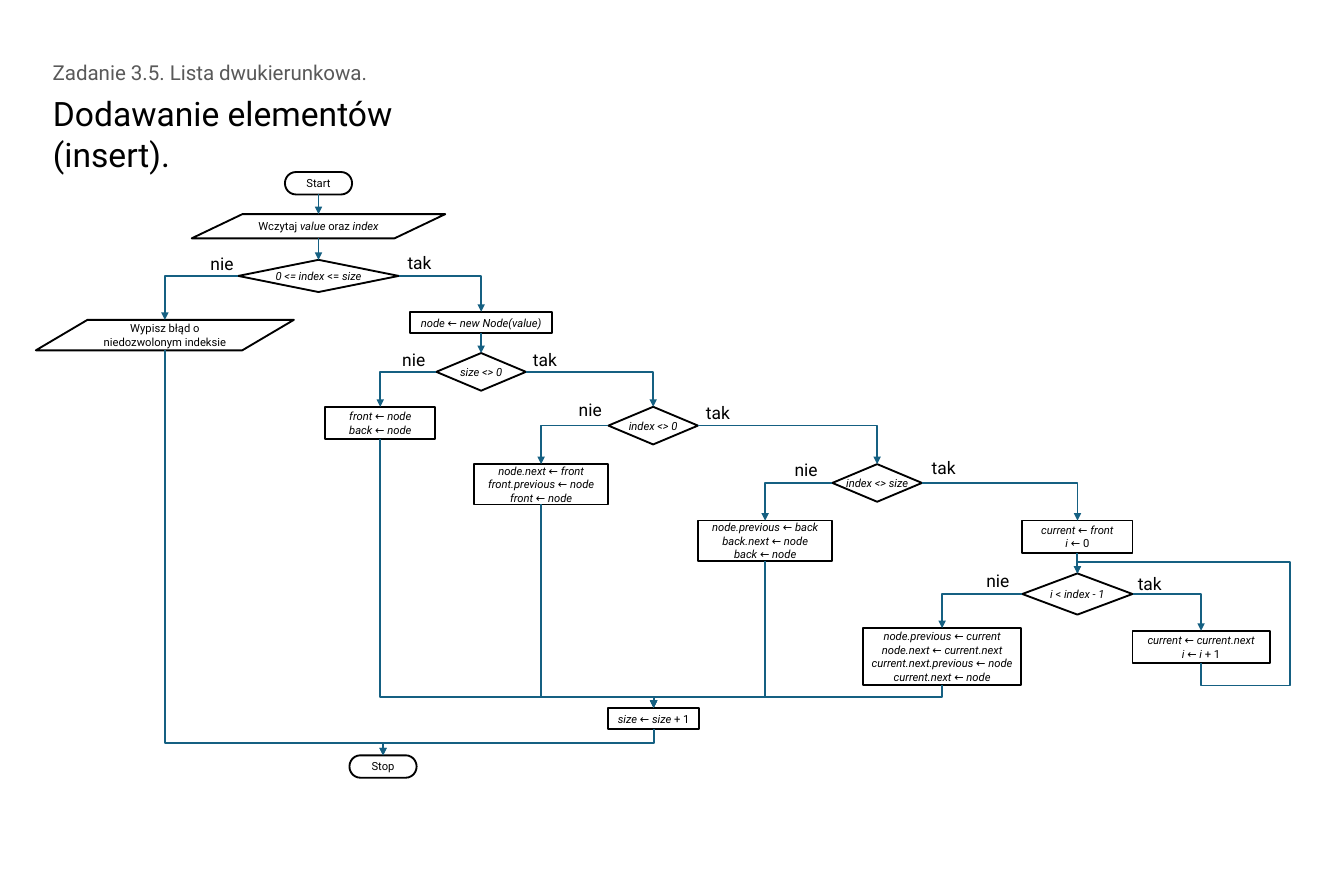
"""Build the flowchart slide for inserting into a doubly linked list."""
from dataclasses import dataclass

from lxml import etree
from pptx import Presentation
from pptx import slide as sl
from pptx import util as u
from pptx.dml.color import RGBColor
from pptx.enum import shapes, text
from pptx.oxml import ns
from pptx.shapes import autoshape, connector as cx
from pptx.text import text as tx

BLACK = RGBColor(0x00, 0x00, 0x00)
WHITE = RGBColor(0xFF, 0xFF, 0xFF)
GREY = RGBColor(0x59, 0x59, 0x59)
TEAL = RGBColor(0x15, 0x60, 0x82)
FONT = "Roboto"

KIND = shapes.MSO_SHAPE
TERMINAL = KIND.FLOWCHART_TERMINATOR
DATA = KIND.FLOWCHART_DATA
PROCESS = KIND.FLOWCHART_PROCESS
DECISION = KIND.FLOWCHART_DECISION
TOP, LEFT, BOTTOM, RIGHT = range(4)
DATA_SITES = {TOP: 1, LEFT: 2, BOTTOM: 4, RIGHT: 5}
JOIN_Y, STOP_Y = 7.78, 8.29


@dataclass(frozen=True)
class Node:
    """A flowchart symbol; asterisks in its lines enclose italics."""
    name: str
    kind: shapes.MSO_SHAPE
    left: float
    top: float
    width: float
    height: float
    lines: tuple[str, ...]


@dataclass(frozen=True)
class Merge:
    """A route that runs down, across at bus_y and down again."""
    source: str
    target: str
    bus_y: float


@dataclass(frozen=True)
class Label:
    """An answer beside a decision."""
    answer: str
    left: float
    top: float


NODES = (
    Node("start", TERMINAL, 3.18, 1.92, 0.75, 0.25, ("Start",)),
    Node("read", DATA, 2.14, 2.39, 2.83, 0.27, ("Wczytaj *value *oraz *index*",)),
    Node("create", PROCESS, 4.58, 3.48, 1.58, 0.24, ("*node* ← *new Node(value)*",)),
    Node("in range", DECISION, 2.66, 2.9, 1.79, 0.36, ("*0 <= index* <= *size*",)),
    Node("error", DATA, 0.4, 3.57, 2.88, 0.34, ("Wypisz błąd o niedozwolonym indeksie",)),
    Node("stop", TERMINAL, 3.9, 8.43, 0.75, 0.25, ("Stop",)),
    Node("has items", DECISION, 4.87, 3.94, 1, 0.42, ("*size <> 0*",)),
    Node("first", PROCESS, 3.63, 4.54, 1.23, 0.36, ("*front* ← *node*", "*back *← *node*")),
    Node("not front", DECISION, 6.79, 4.54, 1, 0.42, ("*index <> 0*",)),
    Node("at front", PROCESS, 5.29, 5.18, 1.5, 0.45,
         ("*node.next* ← *front*", "*front.previous *← *node*", "*front* ← *node*")),
    Node("not back", DECISION, 9.29, 5.18, 1, 0.42, ("*index <> size*",)),
    Node("at back", PROCESS, 7.79, 5.81, 1.5, 0.45,
         ("*node.previous* ← *back*", "*back.next *← *node*", "*back* ← *node*")),
    Node("begin loop", PROCESS, 11.41, 5.81, 1.23, 0.36, ("*current* ← *front*", "*i *← 0")),
    Node("loop", DECISION, 11.41, 6.4, 1.23, 0.46, ("*i* < *index - 1*",)),
    Node("step", PROCESS, 12.64, 7.04, 1.53, 0.36,
         ("*current* ← *current.next*", "*i *← *i* + 1")),
    Node("link", PROCESS, 9.63, 7.01, 1.77, 0.64,
         ("*node.previous* ← *current*", "*node.next* ← *current.next*",
          "*current.next.previous *← *node*", "*current.next *← *node*")),
    Node("grow", PROCESS, 6.79, 7.9, 1.01, 0.24, ("*size* ← *size* + 1",)),
)
STEPS = (("start", "read"), ("read", "in range"), ("create", "has items"), ("begin loop", "loop"))
BRANCHES = (
    ("in range", "error", "create"),
    ("has items", "first", "not front"),
    ("not front", "at front", "not back"),
    ("not back", "at back", "begin loop"),
    ("loop", "link", "step"),
)
MERGES = (
    Merge("first", "grow", JOIN_Y),
    Merge("at front", "grow", JOIN_Y),
    Merge("at back", "grow", JOIN_Y),
    Merge("link", "grow", JOIN_Y),
    Merge("error", "stop", STOP_Y),
    Merge("grow", "stop", STOP_Y),
)
LABELS = (
    Label("nie", 2.25, 2.78), Label("tak", 4.45, 2.77),
    Label("nie", 4.39, 3.85), Label("tak", 5.85, 3.85),
    Label("nie", 6.36, 4.4), Label("tak", 7.78, 4.44),
    Label("nie", 8.77, 5.07), Label("tak", 10.3, 5.05),
    Label("nie", 10.91, 6.31), Label("tak", 12.6, 6.35),
)


def style(span: tx._Run, size: float, color: RGBColor = BLACK, italic: bool = False) -> None:
    """Format one run."""
    span.font.name, span.font.size, span.font.italic = FONT, u.Pt(size), italic
    span.font.color.rgb = color


def add_text(page: sl.Slide, words: str, left: float, top: float, width: float,
             height: float, size: float, color: RGBColor = BLACK) -> None:
    """Add a plain line of text."""
    box = page.shapes.add_textbox(*map(u.Inches, (left, top, width, height)))
    box.text_frame.word_wrap = True
    box.text_frame.text = words
    style(box.text_frame.paragraphs[0].runs[0], size, color)


def set_title(page: sl.Slide, words: str) -> None:
    """Place and format the title."""
    title = page.shapes.title
    title.left, title.top, title.width, title.height = map(u.Inches, (0.49, 0.99, 5.3, 0.56))
    frame = title.text_frame
    frame.text = words
    frame.word_wrap, frame.auto_size = True, text.MSO_AUTO_SIZE.NONE
    frame.vertical_anchor, frame.margin_right = text.MSO_ANCHOR.TOP, u.Inches(0.6)
    frame.paragraphs[0].alignment = text.PP_ALIGN.LEFT
    style(frame.paragraphs[0].runs[0], 27)


def add_node(page: sl.Slide, node: Node) -> autoshape.Shape:
    """Draw a flowchart symbol with its lines of text."""
    box = page.shapes.add_shape(
        node.kind, *map(u.Inches, (node.left, node.top, node.width, node.height)))
    box.shadow.inherit = False
    box.fill.solid()
    box.fill.fore_color.rgb = WHITE
    box.line.color.rgb, box.line.width = BLACK, u.Pt(1.5)
    frame = box.text_frame
    frame.word_wrap = node.kind != DECISION
    frame.vertical_anchor = text.MSO_ANCHOR.MIDDLE
    frame.margin_left = frame.margin_right = u.Inches(0.05)
    for index, line in enumerate(node.lines):
        para = frame.add_paragraph() if index else frame.paragraphs[0]
        para.alignment = text.PP_ALIGN.CENTER
        for part, words in enumerate(line.split("*")):
            if words:
                span = para.add_run()
                span.text = words
                style(span, 9, italic=part % 2 == 1)
    return box


def join(page: sl.Slide, source: autoshape.Shape, side: int, target: autoshape.Shape,
         preset: str) -> cx.Connector:
    """Glue an arrow from a side of the source to the top of the target."""
    arrow = page.shapes.add_connector(shapes.MSO_CONNECTOR.ELBOW, 0, 0, 0, 0)
    arrow.begin_connect(source, side)
    arrow.end_connect(target, TOP)
    for tag, box, place in (("a:stCxn", source, side), ("a:endCxn", target, TOP)):
        if box.auto_shape_type == DATA:
            arrow.element.find(".//" + ns.qn(tag)).set("idx", str(DATA_SITES[place]))
    arrow.line.color.rgb, arrow.line.width = TEAL, u.Pt(1.5)
    outline = arrow.element.spPr
    outline.find(ns.qn("a:prstGeom")).set("prst", preset)
    etree.SubElement(outline.find(ns.qn("a:ln")), ns.qn("a:tailEnd"), type="triangle")
    etree.SubElement(outline, ns.qn("a:effectLst"))
    return arrow


def turn(arrow: cx.Connector, degrees: int, flip: bool, bends: dict[str, float]) -> None:
    """Make an elbow leave vertically, with its bends at the given shares."""
    middle_x, middle_y = (arrow.begin_x + arrow.end_x) // 2, (arrow.begin_y + arrow.end_y) // 2
    width, height = abs(arrow.end_y - arrow.begin_y), abs(arrow.end_x - arrow.begin_x)
    arrow.left, arrow.top = middle_x - width // 2, middle_y - height // 2
    arrow.width, arrow.height = width, height
    frame = arrow.element.spPr.find(ns.qn("a:xfrm"))
    for key, value in (("rot", degrees * 60000), ("flipH", int(flip)), ("flipV", 0)):
        frame.set(key, str(value))
    guides = arrow.element.spPr.find(".//" + ns.qn("a:avLst"))
    for name, share in bends.items():
        etree.SubElement(guides, ns.qn("a:gd"), name=name, fmla=f"val {round(share * 100000)}")


def main() -> None:
    """Build and save the deck."""
    deck = Presentation()
    deck.slide_width, deck.slide_height = u.Inches(15), u.Inches(10)
    page = deck.slides.add_slide(deck.slide_layouts[5])
    add_text(page, "Zadanie 3.5. Lista dwukierunkowa.", 0.49, 0.62, 3.78, 0.38, 16.5, GREY)
    set_title(page, "Dodawanie elementów (insert).")
    boxes = {node.name: add_node(page, node) for node in NODES}
    for source, target in STEPS:
        join(page, boxes[source], BOTTOM, boxes[target], "straightConnector1")
    for decision, no, yes in BRANCHES:
        join(page, boxes[decision], LEFT, boxes[no], "bentConnector2")
        join(page, boxes[decision], RIGHT, boxes[yes], "bentConnector2")
    for merge in MERGES:
        arrow = join(page, boxes[merge.source], BOTTOM, boxes[merge.target], "bentConnector3")
        share = (u.Inches(merge.bus_y) - arrow.begin_y) / (arrow.end_y - arrow.begin_y)
        rightward = arrow.end_x > arrow.begin_x
        turn(arrow, 270 if rightward else 90, rightward, {"adj1": share})
    repeat = join(page, boxes["step"], BOTTOM, boxes["loop"], "bentConnector5")
    turn(repeat, 90, True, {"adj1": -0.25, "adj2": -0.72, "adj3": 1.13})
    for label in LABELS:
        add_text(page, label.answer, label.left, label.top, 0.52, 0.34, 14)
    deck.save("out.pptx")


if __name__ == "__main__":
    main()
